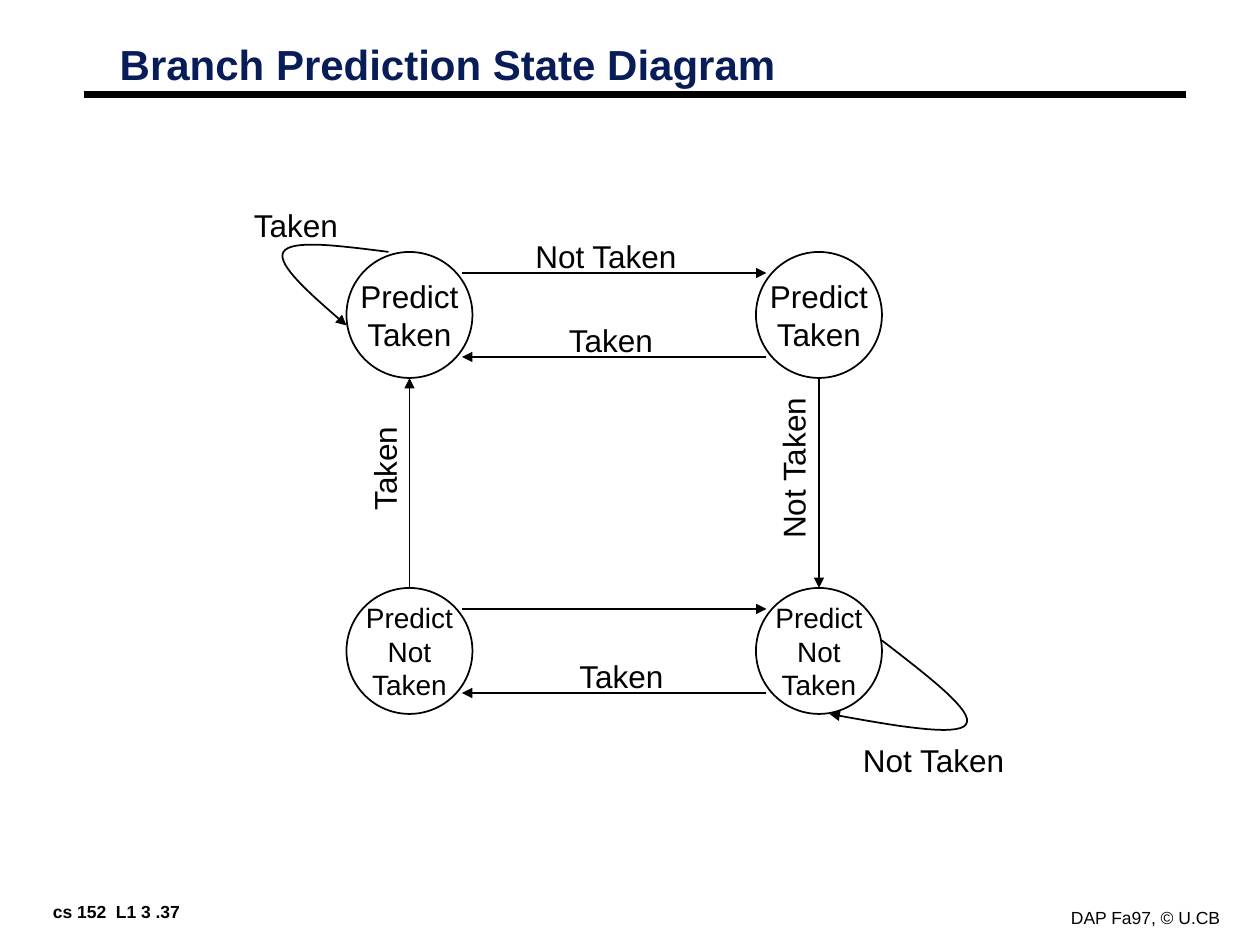
from dataclasses import dataclass
from itertools import product
from lxml.etree import SubElement
from pptx import Presentation
from pptx.dml.color import RGBColor
from pptx.enum.shapes import MSO_CONNECTOR as CONN, MSO_SHAPE as SHAPE
from pptx.enum.text import MSO_ANCHOR as ANCHOR, MSO_AUTO_SIZE as FIT, PP_ALIGN as ALIGN
from pptx.oxml.ns import qn
from pptx.util import Pt


@dataclass(frozen=True)
class Theme:
    font: str = "Arial"
    ink: RGBColor = RGBColor(0, 0, 0)
    navy: RGBColor = RGBColor(0x08, 0x1D, 0x58)
    title: float = 24
    label: float = 18
    small: float = 16
    footer: float = 10
    line: float = 1
    rule: float = 4.5


T = Theme()
TIGHT = (5.04, 2.16)
LOOSE = (7.2, 3.6)
STATE = 72
COLS = (198, 432)
ROWS = (144, 336)


def write(sp, lines, size, insets=LOOSE, color=T.ink, bold=False,
          align=ALIGN.LEFT, anchor=ANCHOR.TOP):
    tf = sp.text_frame
    tf.word_wrap, tf.auto_size, tf.vertical_anchor = False, FIT.NONE, anchor
    tf.margin_left = tf.margin_right = Pt(insets[0])
    tf.margin_top = tf.margin_bottom = Pt(insets[1])
    tf.text = "\n".join(lines)
    for p in tf.paragraphs:
        p.alignment = align
        f = p.font
        f.name, f.size, f.bold = T.font, Pt(size), bold
        f.color.rgb = color
    return tf


def stroke(sp, width=T.line, arrow=False):
    sp.line.color.rgb = T.ink
    sp.line.width = Pt(width)
    if arrow:
        SubElement(sp.line._get_or_add_ln(), qn("a:tailEnd"), type="triangle")


def add_title(slide, text):
    sp = slide.shapes.title
    sp.left, sp.top, sp.width, sp.height = Pt(63.36), Pt(23.76), Pt(396), Pt(28.8)
    tf = write(sp, [text], T.title, TIGHT, T.navy, True)
    tf.paragraphs[0].line_spacing = 0.87


def add_label(slide, text, x, y, w, h=28.8, size=T.label, rotation=0, **style):
    sp = slide.shapes.add_textbox(Pt(x), Pt(y), Pt(w), Pt(h))
    sp.rotation = rotation
    write(sp, [text], size, **style)


def add_state(slide, x, y, lines, size):
    sp = slide.shapes.add_shape(SHAPE.OVAL, Pt(x), Pt(y), Pt(STATE), Pt(STATE))
    sp.shadow.inherit = False
    sp.fill.background()
    stroke(sp)
    write(sp, lines, size, align=ALIGN.CENTER, anchor=ANCHOR.MIDDLE)


def add_line(slide, x1, y1, x2, y2, width=T.line, arrow=True):
    cx = slide.shapes.add_connector(CONN.STRAIGHT, Pt(x1), Pt(y1), Pt(x2), Pt(y2))
    stroke(cx, width, arrow)
    SubElement(cx._element.spPr, qn("a:effectLst"))


def bezier(a, b, c, d, steps=16):
    for i in range(1, steps + 1):
        t = i / steps
        u = 1 - t
        yield tuple(Pt(u**3 * p + 3 * u * u * t * q + 3 * u * t * t * r + t**3 * s)
                    for p, q, r, s in zip(a, b, c, d))


def add_loop(slide, pts):
    fb = slide.shapes.build_freeform(Pt(pts[0][0]), Pt(pts[0][1]))
    for i in (0, 3):
        fb.add_line_segments(bezier(*pts[i:i + 4]), close=False)
    sp = fb.convert_to_shape()
    sp.shadow.inherit = False
    sp.fill.background()
    stroke(sp, arrow=True)


def main():
    prs = Presentation()
    prs.slide_width, prs.slide_height = Pt(720), Pt(540)
    slide = prs.slides.add_slide(prs.slide_layouts[5])

    add_label(slide, "cs 152  L1 3 .37", 25.2, 512.64, 83.52, 15.84,
              T.footer, insets=TIGHT, bold=True)
    add_label(slide, "DAP Fa97, © U.CB", 606.96, 516.24, 95.76, 15.84,
              T.footer, insets=TIGHT)
    add_line(slide, 48, 54, 678, 54, T.rule, arrow=False)
    add_title(slide, "Branch Prediction State Diagram")

    words = ((["Predict", "Taken"], T.label), (["Predict", "Not", "Taken"], T.small))
    for (y, (lines, size)), x in product(zip(ROWS, words), COLS):
        add_state(slide, x, y, lines, size)

    near, far = COLS[0] + 66, COLS[1] + 6
    for y in ROWS:
        add_line(slide, near, y + 12, far, y + 12)
        add_line(slide, far, y + 60, near, y + 60)
    left, right = (x + STATE / 2 for x in COLS)
    upper, lower = ROWS[0] + STATE, ROWS[1]
    add_line(slide, left, lower, left, upper)
    add_line(slide, right, upper, right, lower)

    add_loop(slide, [(222, 144), (193.7, 140.4), (166.3, 136.8), (162, 144),
                     (157.7, 151.2), (177.8, 168.5), (198, 186)])
    add_loop(slide, [(504, 366), (530.6, 386.6), (557.3, 406.8), (552, 414),
                     (547.2, 421.2), (510.5, 414.7), (474, 408)])

    taken, not_taken = ("Taken", 64.8), ("Not Taken", 97.2)
    for (text, w), x, y, rotation in (
        (not_taken, 298.8, 132, 0),
        (taken, 318, 180, 0),
        (taken, 138, 114, 0),
        (taken, 324, 372, 0),
        (taken, 187.2, 252, 270),
        (not_taken, 404.64, 252, 270),
        (not_taken, 486, 420, 0),
    ):
        add_label(slide, text, x, y, w, rotation=rotation)

    prs.save("out.pptx")


if __name__ == "__main__":
    main()
